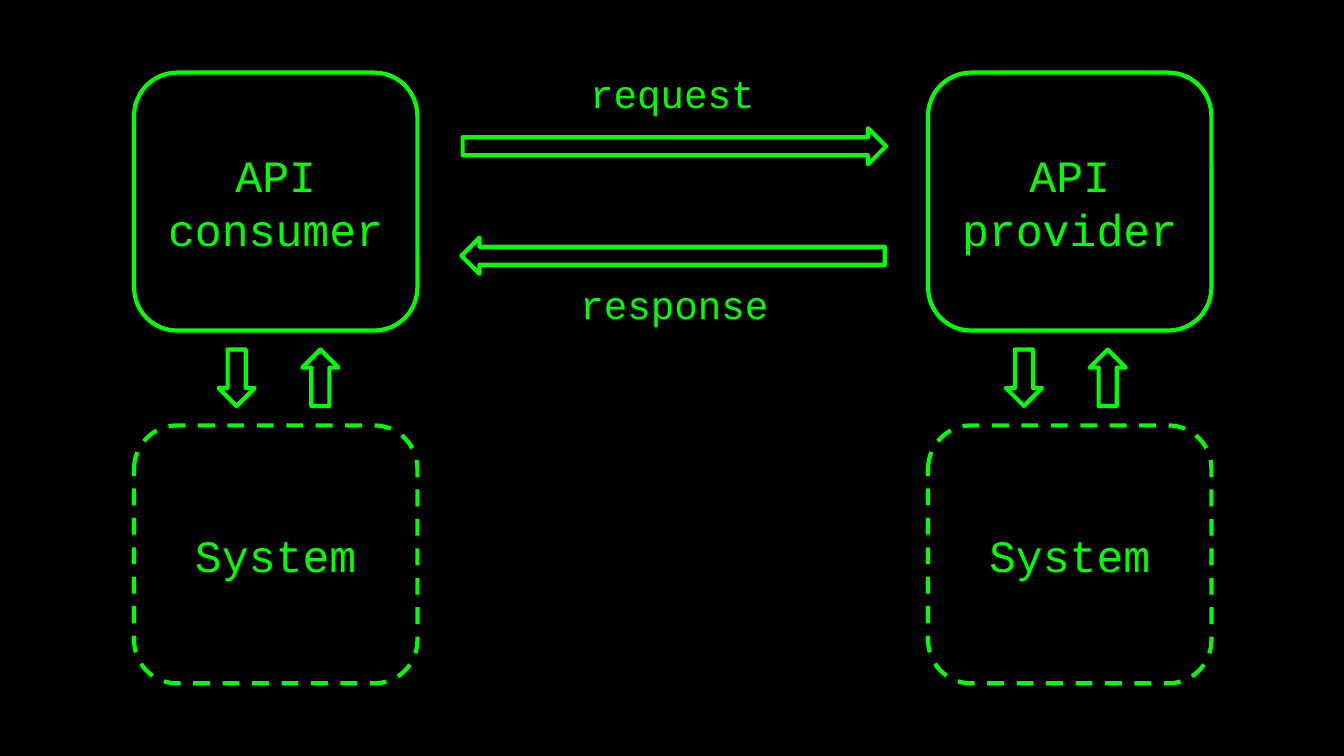
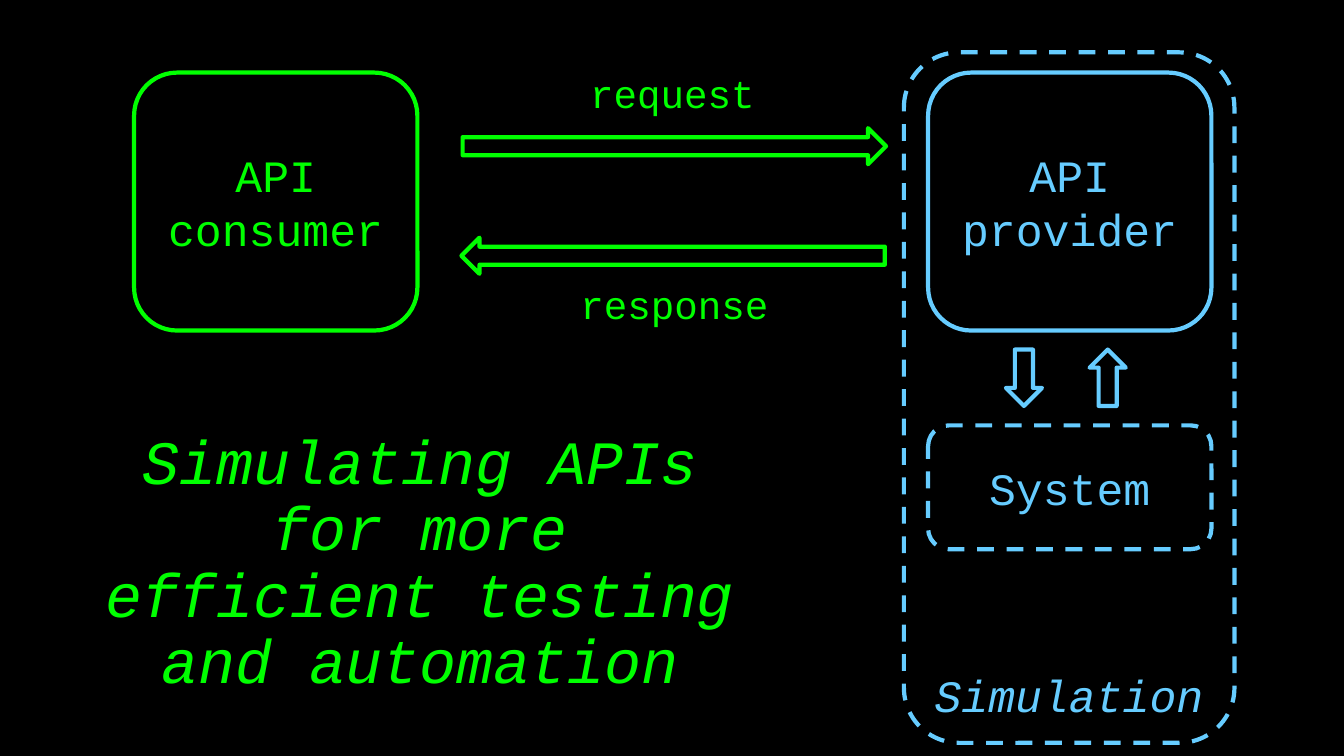
from pptx import Presentation
from pptx.dml.color import RGBColor
from pptx.enum.dml import MSO_LINE
from pptx.enum.shapes import MSO_SHAPE
from pptx.enum.text import MSO_ANCHOR, PP_ALIGN
from pptx.util import Cm, Pt

BLACK = RGBColor(0x00, 0x00, 0x00)
GREEN = RGBColor(0x00, 0xFF, 0x00)
BLUE = RGBColor(0x66, 0xCC, 0xFF)
FONT = "Courier New"

ROUND = MSO_SHAPE.ROUNDED_RECTANGLE
RIGHT, LEFT = MSO_SHAPE.RIGHT_ARROW, MSO_SHAPE.LEFT_ARROW
DOWN, UP = MSO_SHAPE.DOWN_ARROW, MSO_SHAPE.UP_ARROW
DASH = MSO_LINE.DASH
CENTER = PP_ALIGN.CENTER
TOP, MIDDLE, BOTTOM = MSO_ANCHOR.TOP, MSO_ANCHOR.MIDDLE, MSO_ANCHOR.BOTTOM

# Lengths in cm
BOX_W, BOX_H = 7.14, 6.5
BOX_TOP, SYSTEM_TOP = 1.83, 10.72
CONSUMER_X, PROVIDER_X = 3.38, 23.39
THICK = 0.91


def write(shape, text, size, color, anchor=MIDDLE, italic=False):
    frame = shape.text_frame
    frame.word_wrap = True
    frame.vertical_anchor = anchor
    frame.text = text
    para = frame.paragraphs[0]
    para.alignment = CENTER
    font = para.runs[0].font
    font.name, font.size, font.italic = FONT, Pt(size), italic
    font.color.rgb = color
    return para


def outline(slide, kind, box, color, dashed=False):
    """Draw an unfilled shape in box (left, top, width, height)."""
    shape = slide.shapes.add_shape(kind, *map(Cm, box))
    shape.shadow.inherit = False
    shape.fill.background()
    shape.line.color.rgb = color
    shape.line.width = Pt(3)
    if dashed:
        shape.line.dash_style = DASH
    return shape


def label(slide, box, text, size, color, **style):
    area = slide.shapes.add_textbox(*map(Cm, box))
    return write(area, text, size, color, **style)


def node(slide, left, name, color):
    box = outline(slide, ROUND, (left, BOX_TOP, BOX_W, BOX_H), color)
    write(box, name, 32, color)


def system(slide, left, color, inset, height=BOX_H):
    """Place a system box and the two arrows that link it to the node above."""
    for i, kind in enumerate((DOWN, UP)):
        x = left + inset + i * 2.11
        outline(slide, kind, (x, SYSTEM_TOP - 1.91, THICK, 1.42), color)
    box = outline(slide, ROUND, (left, SYSTEM_TOP, BOX_W, height), color, True)
    write(box, "System", 32, color)


def traffic(slide, left, top):
    """Place the request and response arrows with their labels."""
    rows = (("request", RIGHT, 0.03, 1.6, 0.44, 0),
            ("response", LEFT, 0, 4.36, 0.49, 5.3))
    for name, kind, arrow_x, arrow_y, text_x, text_y in rows:
        outline(slide, kind, (left + arrow_x, top + arrow_y, 10.67, THICK), GREEN)
        label(slide, (left + text_x, top + text_y, 9.75, 1.45),
              name, 28, GREEN, anchor=TOP)


def exchange(deck, color):
    """Add a slide with consumer, provider and the traffic between them."""
    slide = deck.slides.add_slide(deck.slide_layouts[6])
    fill = slide.background.fill
    fill.solid()
    fill.fore_color.rgb = BLACK
    node(slide, CONSUMER_X, "API consumer", GREEN)
    node(slide, PROVIDER_X, "API provider", color)
    traffic(slide, 11.63, 1.63)
    return slide


def real(deck):
    slide = exchange(deck, GREEN)
    system(slide, CONSUMER_X, GREEN, 2.13)
    system(slide, PROVIDER_X, GREEN, 1.96)


def simulated(deck):
    slide = exchange(deck, BLUE)
    system(slide, PROVIDER_X, BLUE, 1.96, 3.12)
    title = label(slide, (2.03, 10.92, 17.12, 6.58),
                  "Simulating APIs for more efficient testing and automation",
                  44, GREEN, italic=True)
    title.line_spacing = 0.9
    frame = outline(slide, ROUND, (22.78, 1.32, 8.33, 17.4), BLUE, True)
    write(frame, "Simulation", 32, BLUE, BOTTOM, True)


def main():
    deck = Presentation()
    deck.slide_width, deck.slide_height = Cm(33.87), Cm(19.05)
    real(deck)
    simulated(deck)
    deck.save("out.pptx")


if __name__ == "__main__":
    main()
